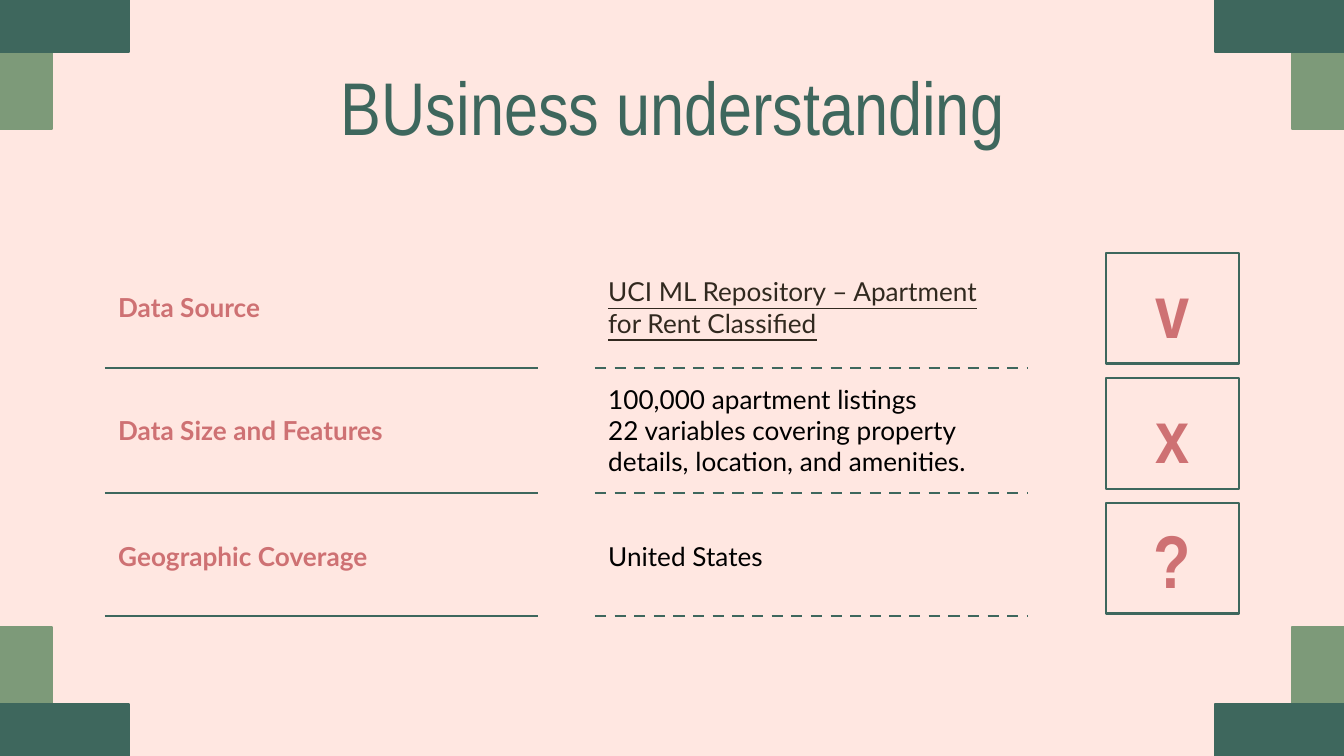
import pptx
import pptx.util
import pptx.dml.color
import pptx.enum.dml
import pptx.enum.shapes
import pptx.enum.text
import pptx.oxml.ns
import lxml.etree

WIDE, HIGH = 1344, 756
DARK, SAGE, ROSE, PINK = "3E675D", "7D9A79", "CE7173", "FFE7E1"
BROWN, BLACK = "31291F", "000000"

TITLE = "BUsiness understanding"
ROWS = [
    dict(label="Data Source", lines=["UCI ML Repository – Apartment for Rent Classified"],
         mark="v", color=BROWN, under=True, top=245, rule=368),
    dict(label="Data Size and Features",
         lines=["100,000 apartment listings",
                "22 variables covering property details, location, and amenities."],
         mark="x", color=BLACK, under=False, top=368, rule=493),
    dict(label="Geographic Coverage", lines=["United States"],
         mark="?", color=BLACK, under=False, top=494, rule=616),
]
LABEL_X, VALUE_X, COL_W, ROW_H = 105, 595, 432, 124
MARK_X, MARK_Y, MARK_W, MARK_H, STEP = 1106, 253, 133, 111, 125
LONG, SHORT = 129, 52


def px(n):
    return round(n * 914400 / 134.4)


def rgb(code):
    return pptx.dml.color.RGBColor.from_string(code)


def write(shape, lines, size=14, font="Lato", color=BLACK, bold=False,
          under=False, center=False):
    frame = shape.text_frame
    frame.word_wrap = True
    frame.vertical_anchor = pptx.enum.text.MSO_ANCHOR.MIDDLE
    frame.margin_left = frame.margin_right = pptx.util.Inches(0.1)
    frame.margin_top = frame.margin_bottom = pptx.util.Inches(0.1)
    align = pptx.enum.text.PP_ALIGN
    for i, line in enumerate(lines):
        para = frame.paragraphs[0] if i == 0 else frame.add_paragraph()
        para.alignment = align.CENTER if center else align.LEFT
        run = para.add_run()
        run.text = line
        run.font.size = pptx.util.Pt(size)
        run.font.name = font
        run.font.bold = bold
        run.font.underline = under
        run.font.color.rgb = rgb(color)


def text(box, lines, **style):
    write(slide.shapes.add_textbox(*map(px, box)), lines, **style)


def rect(box, line, width, fill=None):
    shape = slide.shapes.add_shape(pptx.enum.shapes.MSO_SHAPE.RECTANGLE, *map(px, box))
    shape.shadow.inherit = False
    if fill:
        shape.fill.solid()
        shape.fill.fore_color.rgb = rgb(fill)
    else:
        shape.fill.background()
    shape.line.color.rgb = rgb(line)
    shape.line.width = pptx.util.Pt(width)
    return shape


def rule(x, y, dash=False):
    line = slide.shapes.add_connector(pptx.enum.shapes.MSO_CONNECTOR.STRAIGHT,
                                      px(x), px(y), px(x + COL_W + 1), px(y))
    line.line.color.rgb = rgb(DARK)
    line.line.width = pptx.util.Pt(1.5)
    if dash:
        line.line.dash_style = pptx.enum.dml.MSO_LINE.DASH
    props = line._element.spPr
    lxml.etree.SubElement(props, pptx.oxml.ns.qn("a:effectLst"))


deck = pptx.Presentation()
deck.slide_width, deck.slide_height = px(WIDE), px(HIGH)
slide = deck.slides.add_slide(deck.slide_layouts[6])
slide.background.fill.solid()
slide.background.fill.fore_color.rgb = rgb(PINK)

for right in (0, 1):
    for low in (0, 1):
        for w, h, color in ((SHORT, LONG, SAGE), (LONG, SHORT, DARK)):
            rect((right * (WIDE - w), low * (HIGH - h), w, h), color, 0.75, color)

text((106, 70, 1133, 71), [TITLE], size=40, font="Arial Narrow", color=DARK, center=True)

for i, row in enumerate(ROWS):
    text((LABEL_X, row["top"], COL_W, ROW_H), [row["label"]], color=ROSE, bold=True)
    text((VALUE_X, row["top"], COL_W, ROW_H), row["lines"],
         color=row["color"], under=row["under"])
    rule(LABEL_X, row["rule"])
    rule(VALUE_X, row["rule"], dash=True)
    mark = rect((MARK_X, MARK_Y + i * STEP, MARK_W, MARK_H), DARK, 1.5)
    write(mark, [row["mark"]], size=40, font="Arial Narrow", color=ROSE,
          bold=True, center=True)

deck.save("out.pptx")
